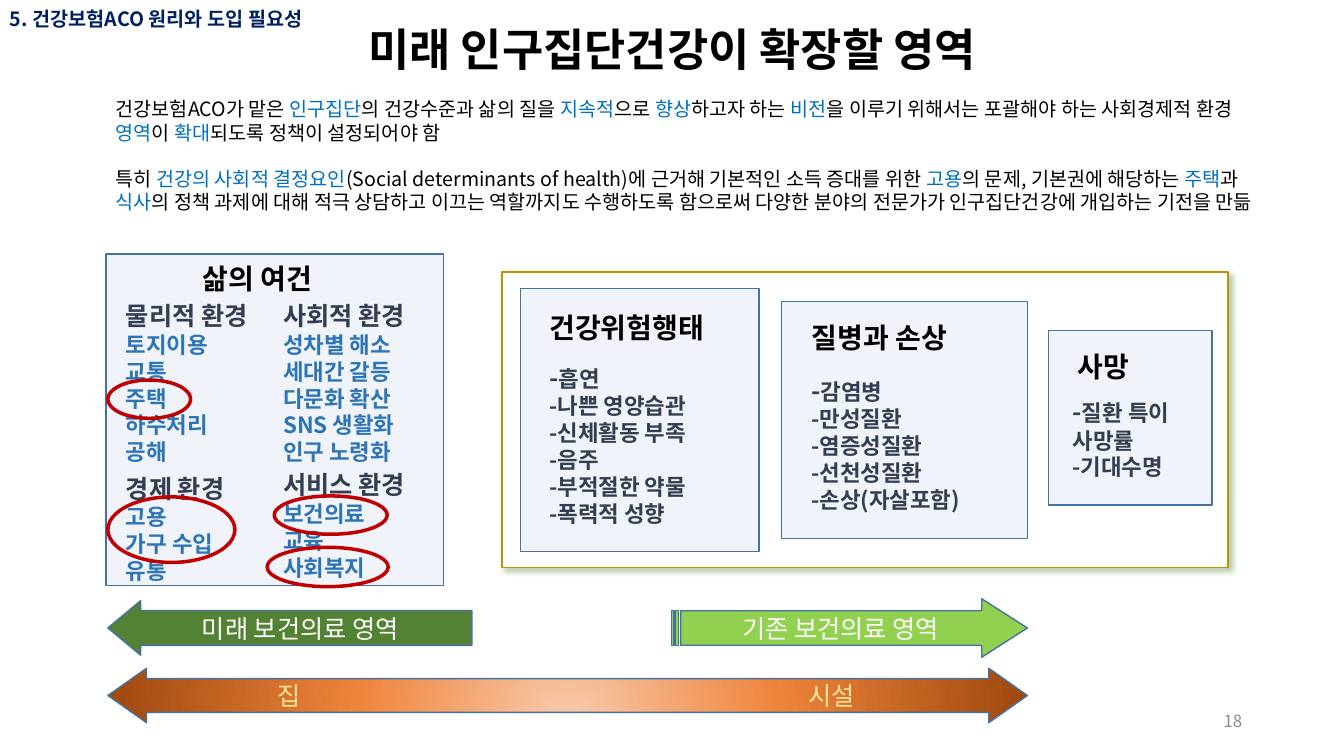
import lxml.etree
import pptx
import pptx.dml.color
import pptx.enum.shapes
import pptx.enum.text
import pptx.oxml.ns
import pptx.util

Inches = pptx.util.Inches
Kind = pptx.enum.shapes.MSO_SHAPE
Align = pptx.enum.text.PP_ALIGN
FONT = "Noto Sans CJK KR"
INK, NAVY, SLATE, WHITE = "000000", "002060", "333F50", "FFFFFF"
BLUE, ITEM, PALE, EDGE, RED = "0070C0", "2E75B6", "B4C7E7", "43739E", "C00000"


def color(code):
    return pptx.dml.color.RGBColor.from_string(code)


def node(host, tag, **attrs):
    """Append a DrawingML child element and return it."""
    child = lxml.etree.SubElement(host, pptx.oxml.ns.qn(tag))
    for key, val in attrs.items():
        child.set(key, str(val))
    return child


def tint(host, code, alpha=100):
    """Append a colour with an opacity in percent."""
    clr = node(host, "a:srgbClr", val=code)
    if alpha < 100:
        node(clr, "a:alpha", val=alpha * 1000)


class Board:
    def __init__(self, deck):
        self.slide = deck.slides.add_slide(deck.slide_layouts[5])
        self.host = self.slide.shapes

    def group(self):
        """Send the next elements into a new group."""
        self.host = self.slide.shapes.add_group_shape().shapes

    def ungroup(self):
        self.host = self.slide.shapes

    def fill(self, shape, lines, align=Align.LEFT):
        """Put lines in a shape; each line is a list of (text, size, colour, bold)."""
        frame = shape.text_frame
        frame.word_wrap = True
        frame.auto_size = pptx.enum.text.MSO_AUTO_SIZE.NONE
        frame.vertical_anchor = pptx.enum.text.MSO_ANCHOR.MIDDLE
        for num, line in enumerate(lines):
            para = frame.add_paragraph() if num else frame.paragraphs[0]
            para.alignment = align
            for text, size, code, bold in line:
                run = para.add_run()
                run.text = text
                font = run.font
                font.name, font.size, font.bold = FONT, pptx.util.Pt(size), bold
                font.color.rgb = color(code)
                node(font._element, "a:ea", typeface=FONT)

    def title(self, box, text):
        head = self.slide.shapes.title
        head.left, head.top, head.width, head.height = map(Inches, box)
        self.fill(head, [[(text, 32, INK, True)]], Align.CENTER)
        head.text_frame.paragraphs[0].line_spacing = 0.9

    def text(self, box, lines, align=Align.LEFT):
        self.fill(self.host.add_textbox(*map(Inches, box)), lines, align)

    def label(self, box, text, size, code=INK, bold=True, align=Align.LEFT):
        self.text(box, [[(text, size, code, bold)]], align)

    def prose(self, box, text):
        """Body text in which the parts between bars are blue."""
        parts = enumerate(text.split("|"))
        self.text(box, [[(part, 14, BLUE if num % 2 else INK, False) for num, part in parts]])

    def topic(self, box, head, items):
        """A heading with its short items below."""
        self.text(box, [[(head, 18, SLATE, True)]] + [[(item, 16, ITEM, True)] for item in items])

    def dashes(self, box, items):
        """A dashed list whose first dash is larger."""
        lines = [[("-" + item, 16, SLATE, True)] for item in items]
        lines[0] = [("-", 18, SLATE, True), (items[0], 16, SLATE, True)]
        self.text(box, lines)

    def shape(self, kind, box, fill=None, line=EDGE, width=1, alpha=100, adj=()):
        item = self.host.add_shape(kind, *map(Inches, box))
        item.shadow.inherit = False
        for num, val in enumerate(adj):
            item.adjustments[num] = val
        if fill:
            item.fill.solid()
            item.fill.fore_color.rgb = color(fill)
            if alpha < 100:
                clr = item._element.spPr.find(".//" + pptx.oxml.ns.qn("a:srgbClr"))
                node(clr, "a:alpha", val=alpha * 1000)
        else:
            item.fill.background()
        item.line.color.rgb = color(line)
        item.line.width = pptx.util.Pt(width)
        return item

    def card(self, box):
        self.shape(Kind.RECTANGLE, box, PALE, alpha=20)

    def arrow(self, kind, box, adj, fill, text):
        item = self.shape(kind, box, fill, adj=adj)
        self.fill(item, [[(text, 18, WHITE, False)]], Align.CENTER)

    def shade(self, item, code, alpha, blur, dist, angle):
        """Give a shape an outer shadow."""
        effects = item._element.spPr.find(pptx.oxml.ns.qn("a:effectLst"))
        outer = node(effects, "a:outerShdw", blurRad=pptx.util.Pt(blur), dist=pptx.util.Pt(dist),
                     dir=angle * 60000, algn="tl", rotWithShape=0)
        tint(outer, code, alpha)

    def glow(self, item, stops):
        """Give a shape a radial gradient."""
        props = item._element.spPr
        grad = node(props, "a:gradFill", rotWithShape=1)
        steps = node(grad, "a:gsLst")
        for pos, code in stops:
            tint(node(steps, "a:gs", pos=pos * 1000), code)
        ring = node(grad, "a:path", path="circle")
        node(ring, "a:fillToRect", l=50000, t=130000, r=50000, b=-30000)
        props.replace(props.find(pptx.oxml.ns.qn("a:noFill")), grad)


def main():
    deck = pptx.Presentation()
    deck.slide_width, deck.slide_height = Inches(13.33), Inches(7.5)
    board = Board(deck)

    board.title((0.92, 0.2, 11.5, 0.63), "미래 인구집단건강이 확장할 영역")
    board.prose((1.05, 1.53, 11.53, 0.71),
                "특히 |건강의 사회적 결정요인|(Social determinants of health)에 근거해 기본적인 소득 증대를 위한 "
                "|고용|의 문제, 기본권에 해당하는 |주택|과 |식사|의 정책 과제에 대해 적극 상담하고 이끄는 "
                "역할까지도 수행하도록 함으로써 다양한 분야의 전문가가 인구집단건강에 개입하는 기전을 만듦")
    board.prose((1.05, 0.98, 11.53, 0.43),
                "건강보험ACO가 맡은 |인구집단|의 건강수준과 삶의 질을 |지속적|으로 |향상|하고자 하는 |비전|을 "
                "이루기 위해서는 포괄해야 하는 사회경제적 환경 |영역|이 |확대|되도록 정책이 설정되어야 함")

    board.group()
    board.card((1.05, 2.52, 3.35, 3.29))
    for box, head, items in (
        ((1.15, 3, 1.68, 1.6), "물리적 환경", ("토지이용", "교통", "주택", "하수처리", "공해")),
        ((2.71, 3, 1.68, 1.6), "사회적 환경",
         ("성차별 해소", "세대간 갈등", "다문화 확산", "SNS 생활화", "인구 노령화")),
        ((1.15, 4.69, 1.45, 1.11), "경제 환경", ("고용", "가구 수입", "유통")),
        ((2.71, 4.66, 1.68, 1.1), "서비스 환경", ("보건의료", "교육", "사회복지")),
    ):
        board.topic(box, head, items)
    board.label((1.91, 2.58, 1.58, 0.37), "삶의 여건", 20)

    board.group()
    frame = board.shape(Kind.RECTANGLE, (4.98, 2.7, 7.2, 2.93), WHITE, "BF9000")
    board.shade(frame, "548235", 40, 4, 3, 45)
    for box, head, title, body, items in (
        ((10.4, 3.28, 1.62, 1.73), (10.59, 3.47, 0.79, 0.33), "사망",
         (10.54, 3.68, 1.4, 1.34), ("질환 특이 사망률", "기대수명")),
        ((7.75, 2.99, 2.44, 2.35), (7.95, 3.18, 1.74, 0.33), "질병과 손상",
         (7.95, 3.59, 2.04, 1.63),
         ("감염병", "만성질환", "염증성질환", "선천성질환", "손상(자살포함)")),
        ((5.16, 2.86, 2.37, 2.61), (5.35, 3.06, 1.9, 0.37), "건강위험행태",
         (5.35, 3.52, 1.99, 1.78),
         ("흡연", "나쁜 영양습관", "신체활동 부족", "음주", "부적절한 약물", "폭력적 성향")),
    ):
        board.card(box)
        board.dashes(body, items)
        board.label(head, title, 20)
    board.ungroup()

    board.arrow(Kind.STRIPED_RIGHT_ARROW, (6.66, 5.94, 3.53, 0.58), (0.59, 0.78),
                "92D050", "기존 보건의료 영역")
    for box in ((1.07, 3.77, 0.82, 0.38), (1.07, 4.93, 1.26, 0.65),
                (2.72, 4.92, 1.12, 0.38), (2.65, 5.43, 1.2, 0.39)):
        board.shape(Kind.OVAL, box, line=RED, width=2.5)
    span = board.shape(Kind.LEFT_RIGHT_ARROW, (1.07, 6.63, 9.12, 0.54), adj=(0.62, 0.71))
    board.glow(span, ((0, "F8CBAD"), (46, "EE843B"), (100, "9E480E")))
    for left, place in ((2.37, "집"), (7.75, "시설")):
        board.label((left, 6.63, 1, 0.54), place, 18, "FFE699", False, Align.CENTER)
    board.arrow(Kind.LEFT_ARROW, (1.07, 5.96, 3.61, 0.54), (0.64, 0.6),
                "548235", "미래 보건의료 영역")

    board.label((9.42, 6.95, 3, 0.4), "18", 12, "8C8C8C", False, Align.RIGHT)
    board.label((0, 0.04, 4.15, 0.29), "5. 건강보험ACO 원리와 도입 필요성", 14, NAVY)
    deck.save("out.pptx")


if __name__ == "__main__":
    main()
